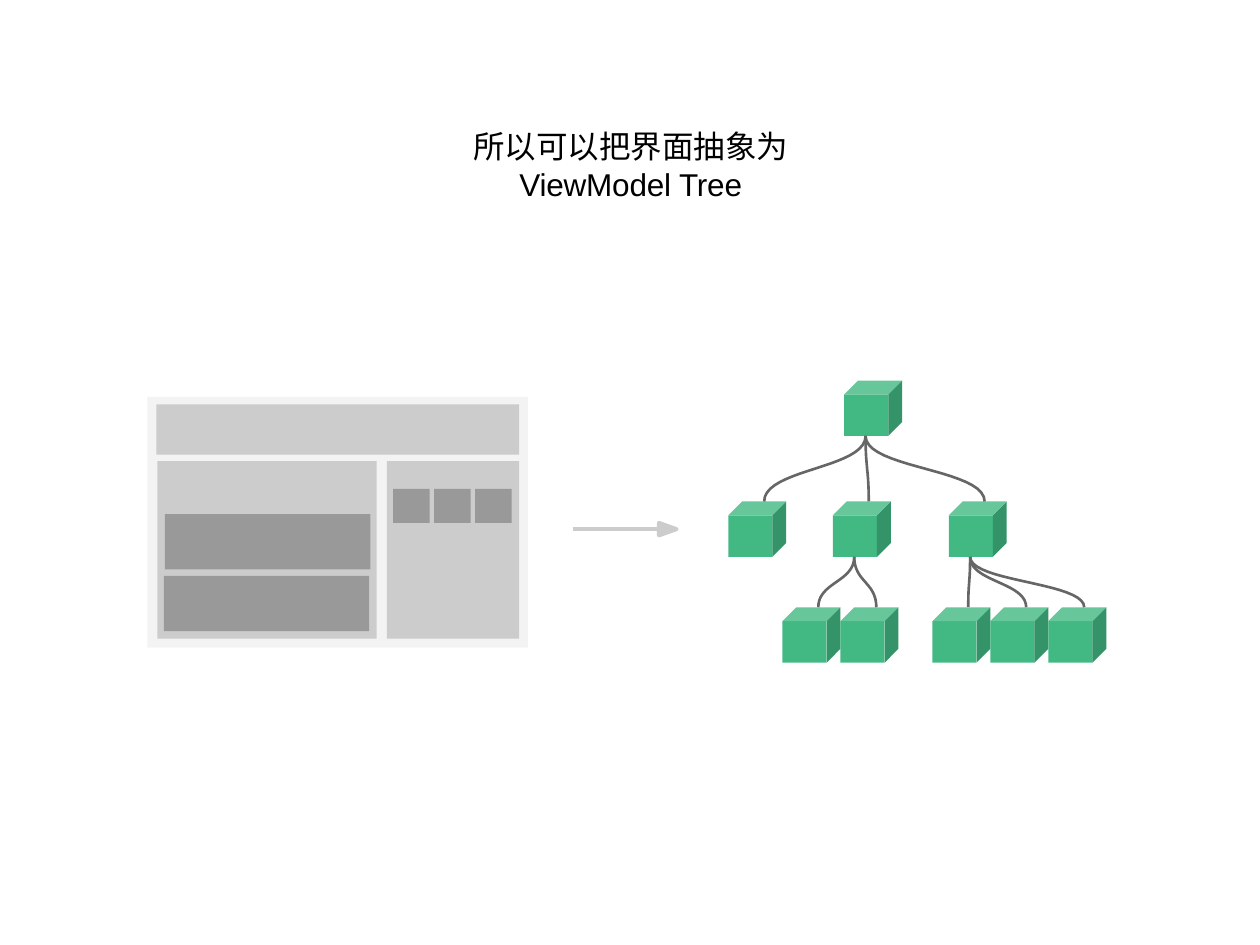
import pptx
import pptx.util
import pptx.dml.color
import pptx.enum.shapes
import pptx.enum.text
import pptx.oxml.ns
import lxml.etree

Inches = pptx.util.Inches
Pt = pptx.util.Pt
RGBColor = pptx.dml.color.RGBColor

BLACK = RGBColor(0x00, 0x00, 0x00)
FRAME = RGBColor(0xF3, 0xF3, 0xF3)
LIGHT = RGBColor(0xCC, 0xCC, 0xCC)
DARK = RGBColor(0x99, 0x99, 0x99)
BRANCH = RGBColor(0x66, 0x66, 0x66)
CUBE_FRONT = RGBColor(0x42, 0xB9, 0x83)
CUBE_SIDE = RGBColor(0x34, 0x93, 0x68)
CUBE_TOP = RGBColor(0x67, 0xC7, 0x9B)

# Cube: front face size and depth of the slanted faces
CUBE_W, CUBE_H, DEPTH = 0.35, 0.33, 0.11
CURVE_STEPS = 20

# Interface mockup: left, top, width, height, colour
PANELS = [
    (1.17, 3.15, 3.02, 1.99, FRAME),
    (1.24, 3.21, 2.88, 0.40, LIGHT),
    (1.25, 3.66, 1.74, 1.41, LIGHT),
    (3.07, 3.66, 1.05, 1.41, LIGHT),
    (1.31, 4.08, 1.63, 0.44, DARK),
    (1.30, 4.57, 1.63, 0.44, DARK),
] + [(3.12 + 0.325 * column, 3.88, 0.29, 0.27, DARK) for column in range(3)]

# Tree: front face left and top of each cube, and the children of each parent
NODES = {
    "root": (6.70, 3.13),
    "a": (5.78, 4.09), "b": (6.61, 4.09), "c": (7.53, 4.09),
    "b1": (6.21, 4.93), "b2": (6.67, 4.93),
    "c1": (7.40, 4.93), "c2": (7.86, 4.93), "c3": (8.32, 4.93),
}
CHILDREN = {"root": ["a", "b", "c"], "b": ["b1", "b2"], "c": ["c1", "c2", "c3"]}


def style_shape(shape, fill=None, line=None, width=1.5):
    shape.shadow.inherit = False
    if fill is None:
        shape.fill.background()
    else:
        shape.fill.solid()
        shape.fill.fore_color.rgb = fill
    if line is None:
        shape.line.fill.background()
    else:
        shape.line.color.rgb = line
        shape.line.width = Pt(width)


def add_panel(page, left, top, width, height, colour):
    panel = page.shapes.add_shape(
        pptx.enum.shapes.MSO_SHAPE.RECTANGLE,
        Inches(left), Inches(top), Inches(width), Inches(height))
    style_shape(panel, fill=colour)


def add_outline(page, points, close=True, **look):
    corners = [(Inches(x), Inches(y)) for x, y in points]
    builder = page.shapes.build_freeform(*corners[0])
    builder.add_line_segments(corners[1:], close=close)
    style_shape(builder.convert_to_shape(), **look)


def add_cube(page, left, top):
    right, bottom = left + CUBE_W, top + CUBE_H
    add_panel(page, left, top, CUBE_W, CUBE_H, CUBE_FRONT)
    back = (right + DEPTH, top - DEPTH)
    add_outline(page, [(right, bottom), (right, top), back,
                       (right + DEPTH, bottom - DEPTH)], fill=CUBE_SIDE)
    add_outline(page, [(right, top), (left, top),
                       (left + DEPTH, top - DEPTH), back], fill=CUBE_TOP)


def add_branch(page, parent, child):
    """S-curve from below a parent's front face to the top of a child."""
    x0, y0 = parent[0] + CUBE_W / 2 - 0.005, parent[1] + CUBE_H
    x1, y1 = child[0] + (CUBE_W + 2 * DEPTH) / 2, child[1] - DEPTH
    points = []
    for step in range(CURVE_STEPS + 1):
        t = step / CURVE_STEPS
        across = t * t * (3 - 2 * t)
        down = 1.5 * t * (1 - t) + t ** 3
        points.append((x0 + (x1 - x0) * across, y0 + (y1 - y0) * down))
    add_outline(page, points, close=False, line=BRANCH)


def add_arrow(page, start, neck, tip, y):
    shaft = page.shapes.add_connector(
        pptx.enum.shapes.MSO_CONNECTOR.STRAIGHT,
        Inches(start), Inches(y), Inches(neck), Inches(y))
    shaft.line.color.rgb = LIGHT
    shaft.line.width = Pt(2.25)
    lxml.etree.SubElement(shaft._element.spPr, pptx.oxml.ns.qn("a:effectLst"))
    add_outline(page, [(neck, y + 0.05), (neck, y - 0.05), (tip, y)],
                fill=LIGHT, line=LIGHT, width=2.25)


def add_span(para, text, font_name, spacing=None):
    span = para.add_run()
    span.text = text
    for name, value in {"size": Pt(18), "bold": False, "name": font_name}.items():
        setattr(span.font, name, value)
    span.font.color.rgb = BLACK
    props = span.font._element
    east_asian = lxml.etree.SubElement(props, pptx.oxml.ns.qn("a:ea"))
    east_asian.set("typeface", font_name)
    if spacing is not None:
        props.set("spc", str(spacing))


def fill_title(page):
    title = page.shapes.title
    place = {"left": 3.74, "top": 1, "width": 2.53, "height": 0.63}
    for name, value in place.items():
        setattr(title, name, Inches(value))
    frame = title.text_frame
    layout = {
        "margin_left": 0, "margin_right": 0, "margin_bottom": 0,
        "margin_top": Inches(0.01), "word_wrap": True,
        "vertical_anchor": pptx.enum.text.MSO_ANCHOR.TOP,
        "auto_size": pptx.enum.text.MSO_AUTO_SIZE.NONE,
    }
    for name, value in layout.items():
        setattr(frame, name, value)
    first, second = frame.paragraphs[0], frame.add_paragraph()
    for para, space in ((first, 1), (second, 0.1)):
        para.alignment = pptx.enum.text.PP_ALIGN.CENTER
        para.space_before = Pt(space)
    add_span(first, "所以可以把界面抽象", "Noto Sans CJK JP")
    add_span(first, "为", "Noto Sans CJK SC")
    add_span(second, "ViewModel Tree", "Arial", spacing=-10)


def main():
    deck = pptx.Presentation()
    deck.slide_width, deck.slide_height = Inches(10), Inches(7.5)
    page = deck.slides.add_slide(deck.slide_layouts[5])
    fill_title(page)

    # Interface mockup
    for panel in PANELS:
        add_panel(page, *panel)

    # View model tree
    for left, top in NODES.values():
        add_cube(page, left, top)
    for parent, children in CHILDREN.items():
        for child in children:
            add_branch(page, NODES[parent], NODES[child])

    # Arrow from the mockup to the tree
    add_arrow(page, 4.55, 5.23, 5.37, 4.2)
    deck.save("out.pptx")


if __name__ == "__main__":
    main()
